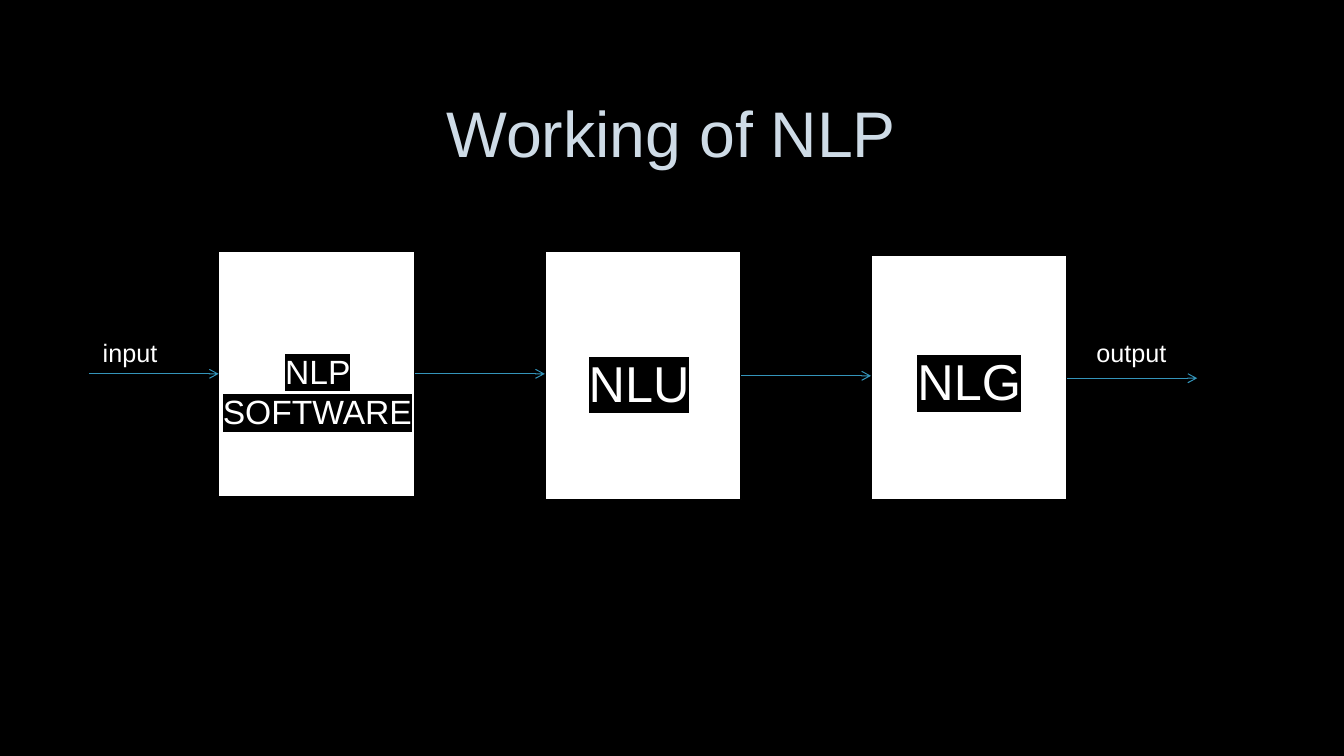
from dataclasses import dataclass
from lxml.etree import SubElement as Sub
from pptx import Presentation
from pptx.dml.color import RGBColor as RGB
from pptx.enum.shapes import MSO_CONNECTOR as Link, MSO_SHAPE as Shape
from pptx.enum.text import MSO_ANCHOR as Anchor, MSO_AUTO_SIZE as Auto, PP_ALIGN as Align
from pptx.oxml import parse_xml
from pptx.oxml.ns import nsdecls, qn
from pptx.util import Cm, Pt


@dataclass(frozen=True)
class Theme:
    font: str = "Arial"
    back: str = "000000"
    title: str = "CEDBE6"
    edge: str = "404040"
    box: str = "FFFFFF"
    text: str = "FFFFFF"
    arrow: str = "3494BA"
    head: int = 46
    large: int = 36
    mid: int = 24
    small: int = 18


THEME = Theme()
BOX_W, GAP = 4.95, 3.27
LEFT = 5.51


def style(frame, size, color, align):
    para = frame.paragraphs[0]
    para.alignment = align
    run = para.runs[0]
    run.font.name = THEME.font
    run.font.size = Pt(size)
    run.font.color.rgb = RGB.from_string(color)
    return run


def add_title(slide, text):
    title = slide.shapes.title
    title.left, title.top = Cm(2.54), Cm(1.7)
    title.width, title.height = Cm(28.75), Cm(3.51)
    frame = title.text_frame
    frame.text = text
    frame.vertical_anchor = Anchor.MIDDLE
    frame.paragraphs[0].line_spacing = 0.9
    run = style(frame, THEME.head, THEME.title, Align.CENTER)
    edge = parse_xml(
        f'<a:ln {nsdecls("a")} w="9525"><a:solidFill><a:srgbClr val="{THEME.edge}">'
        '<a:alpha val="10000"/></a:srgbClr></a:solidFill></a:ln>')
    run.font._element.insert(0, edge)


def add_box(slide, left, top, height):
    box = slide.shapes.add_shape(
        Shape.RECTANGLE, Cm(left), Cm(top), Cm(BOX_W), Cm(height))
    box.shadow.inherit = False
    box.fill.solid()
    box.fill.fore_color.rgb = RGB.from_string(THEME.box)
    box.line.color.rgb = RGB.from_string(THEME.back)
    box.line.width = Pt(1.25)


def add_arrow(slide, left, y):
    line = slide.shapes.add_connector(
        Link.STRAIGHT, Cm(left), Cm(y), Cm(left + GAP), Cm(y))
    line.line.color.rgb = RGB.from_string(THEME.arrow)
    line.line.width = Pt(0.75)
    Sub(line.line._get_or_add_ln(), qn("a:tailEnd"), type="arrow")
    Sub(line._element.spPr, qn("a:effectLst"))


def add_label(slide, text, area, size, align=Align.LEFT):
    label = slide.shapes.add_textbox(*map(Cm, area))
    frame = label.text_frame
    frame.word_wrap = True
    frame.auto_size = Auto.SHAPE_TO_FIT_TEXT
    frame.text = text
    return style(frame, size, THEME.text, align)


def add_name(slide, text, area, size):
    """Add a centred box name on a dark highlight."""
    run = add_label(slide, text, area, size, Align.CENTER)
    mark = parse_xml(
        f'<a:highlight {nsdecls("a")}><a:srgbClr val="{THEME.back}"/></a:highlight>')
    run.font._element.find(qn("a:solidFill")).addnext(mark)


def main():
    deck = Presentation()
    deck.slide_width, deck.slide_height = Cm(33.87), Cm(19.05)
    slide = deck.slides.add_slide(deck.slide_layouts[5])
    slide.background.fill.solid()
    slide.background.fill.fore_color.rgb = RGB.from_string(THEME.back)
    add_title(slide, "Working of NLP")

    step = BOX_W + GAP
    for i, (top, height) in enumerate([(6.34, 6.17), (6.34, 6.25), (6.43, 6.17)]):
        add_box(slide, LEFT + i * step, top, height)
    for i, y in enumerate([9.42, 9.42, 9.47, 9.53]):
        add_arrow(slide, LEFT - GAP + i * step, y)

    add_name(slide, "NLP SOFTWARE", (5.31, 8.71, 5.38, 2.31), THEME.mid)
    add_name(slide, "NLU", (13.97, 8.74, 4.27, 1.8), THEME.large)
    add_name(slide, "NLG", (22.43, 8.71, 3.99, 1.8), THEME.large)
    add_label(slide, "input", (2.34, 8.38, 2.9, 1.02), THEME.small)
    add_label(slide, "output", (27.38, 8.38, 2.39, 1.02), THEME.small)
    deck.save("out.pptx")


if __name__ == "__main__":
    main()
